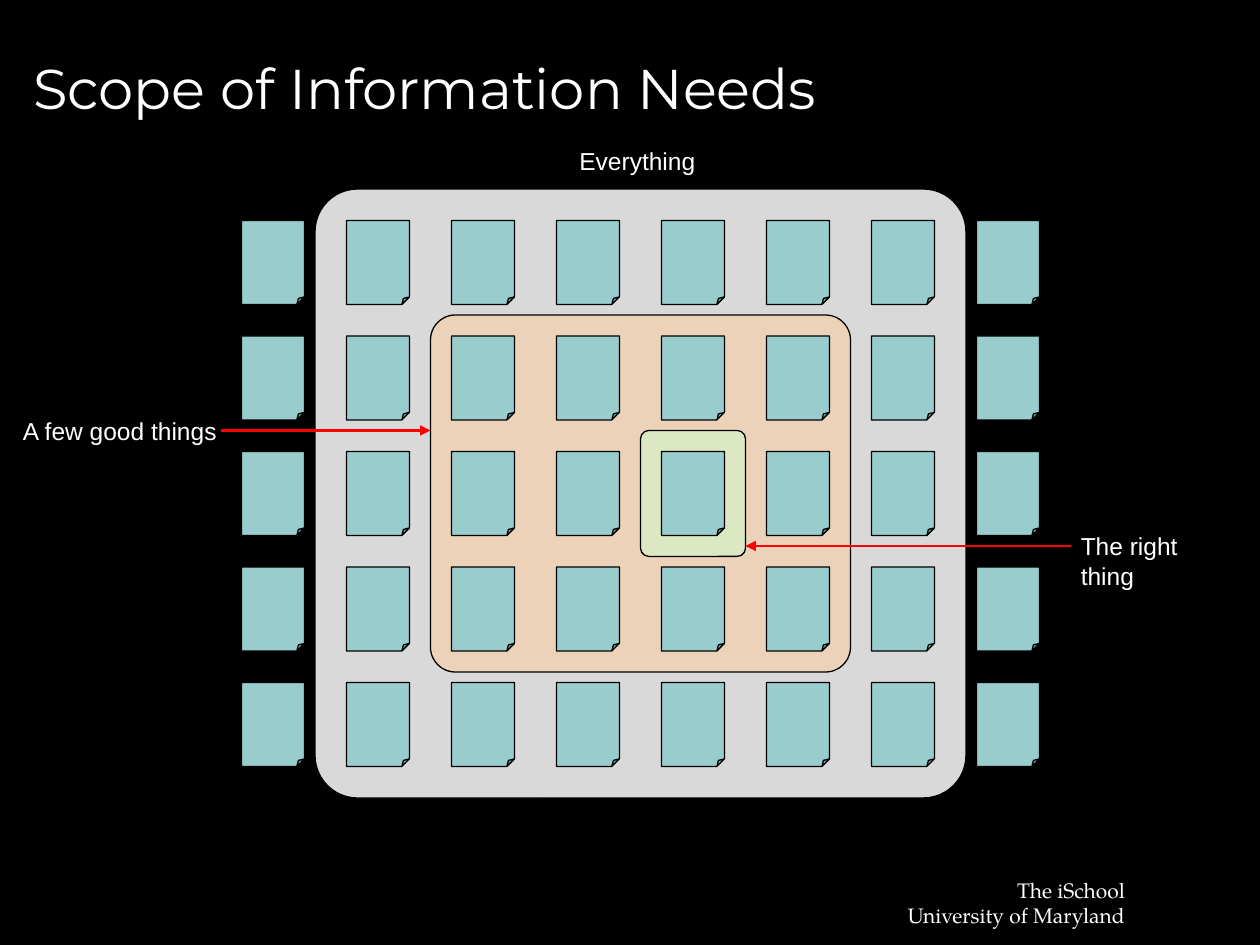
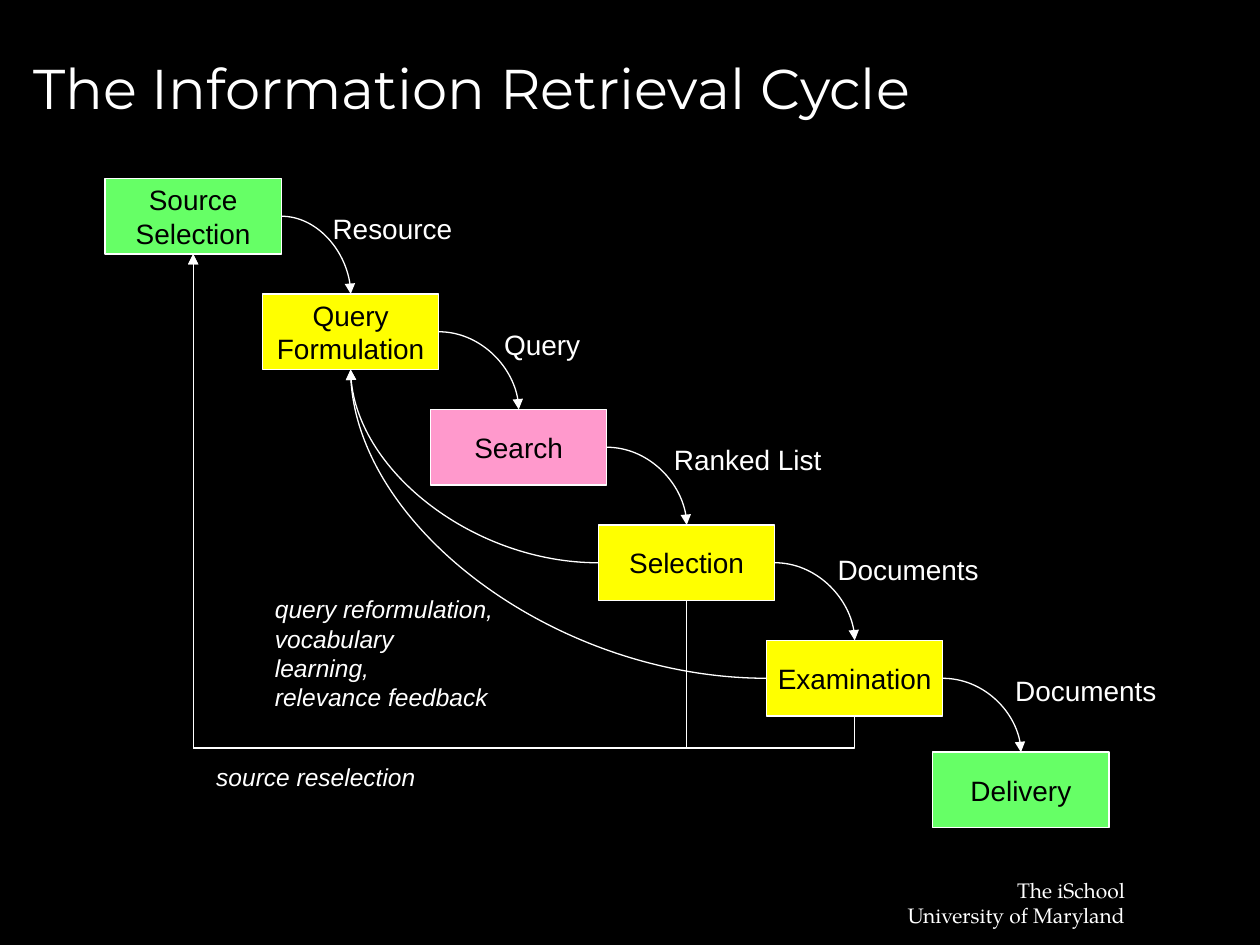
from dataclasses import dataclass

from lxml import etree
from pptx import Presentation
from pptx.dml.color import RGBColor
from pptx.enum import shapes, text
from pptx.oxml import ns
from pptx.util import Pt


@dataclass(frozen=True)
class Theme:
    back: str = "000000"
    ink: str = "FFFFFF"
    dark: str = "000000"
    page: str = "99CCCC"
    gray: str = "D9D9D9"
    peach: str = "FFCC99"
    mint: str = "CCFFCC"
    red: str = "FF0000"
    green: str = "66FF66"
    yellow: str = "FFFF00"
    pink: str = "FF99CC"
    head: str = "Montserrat"
    body: str = "Arial"
    serif: str = "TeX Gyre Pagella"
    big: int = 32
    mid: int = 16
    small: int = 14
    foot: int = 12
    thin: float = 0.75
    thick: float = 1.5


T = Theme()
KIND = shapes.MSO_SHAPE
WIRE = shapes.MSO_CONNECTOR
ALIGN = text.PP_ALIGN

# Shared content: lengths are points, places are (left, top, width, height)
SIZE = (720, 540)
HEAD = (12, 9, 684, 81)
FOOT = "The iSchool\nUniversity of Maryland"
FOOT_AT = (510.5, 498, 139.5, 36)

# Scope slide
SCOPE = "Scope of Information Needs"
ZONES = [  # place, corner, fill, opacity
    ((180, 108, 372, 348), 0.07, T.gray, 100),
    ((246, 180, 240, 204), 0.07, T.peach, 50),
    ((366, 246, 60, 72), 0.08, T.mint, 50),
]
COLS, ROWS = 8, 5
FIRST, STEP, PAGE = (138, 126), (60, 66), (36, 48)
FOLD = 0.12
SCOPE_TAGS = [
    ("The right thing", (610.5, 300, 103.5, 24.5)),
    ("A few good things", (6, 234, 126, 24.5)),
    ("Everything", (324, 80, 80.5, 24.5)),
]
ARROWS = [((126, 246), (246, 246)), ((612, 312), (426, 312))]

# Cycle slide
CYCLE = "The Information Retrieval Cycle"
BOX = (100.8, 43.2)
STAGES = [  # text, left, top, fill
    ("Source\nSelection", 60, 102, T.green),
    ("Query\nFormulation", 150, 168, T.yellow),
    ("Search", 246, 234, T.pink),
    ("Selection", 342, 300, T.yellow),
    ("Examination", 438, 366, T.yellow),
    ("Delivery", 533, 429.8, T.green),
]
FLOWS = [  # label on the arrow from each stage to the next
    ("Resource", (183, 117.5, 83, 26.5)),
    ("Query", (281, 183.5, 58.5, 26.5)),
    ("Ranked List", (378, 249.5, 99, 26.5)),
    ("Documents", (471.5, 312, 95, 26.5)),
    ("Documents", (573, 381.5, 95, 26.5)),
]
NOTES = [
    ("source reselection", (116.5, 432, 165.5, 24.5)),
    ("query reformulation,\nvocabulary learning,\nrelevance feedback",
     (150, 336, 139.5, 57.5)),
]
SOURCE, QUERY, PICK, EXAM = 0, 1, 3, 4
RAIL = 427.5  # height of the line that leads back to the source
TOP, LEFT, BOTTOM, RIGHT = range(4)


def rgb(code):
    return RGBColor.from_string(code)


def pts(vals):
    return [Pt(v) for v in vals]


def write(frame, words, face, size, ink, align=ALIGN.LEFT, slant=False):
    frame.text = words
    for para in frame.paragraphs:
        para.alignment = align
        for run in para.runs:
            font = run.font
            font.name, font.size, font.italic = face, Pt(size), slant
            font.color.rgb = rgb(ink)


def label(slide, words, place, size, face=T.body, **style):
    frame = slide.shapes.add_textbox(*pts(place)).text_frame
    write(frame, words, face, size, T.ink, **style)
    frame.word_wrap = False
    frame.auto_size = text.MSO_AUTO_SIZE.SHAPE_TO_FIT_TEXT


def adjust(item, name, value):
    guides = item._element.spPr.prstGeom.get_or_add_avLst()
    etree.SubElement(guides, ns.qn("a:gd"), name=name,
                     fmla=f"val {round(value * 100000)}")


def block(slide, kind, place, fill, edge, bend=None, alpha=100):
    item = slide.shapes.add_shape(kind, *pts(place))
    item.shadow.inherit = False
    item.fill.solid()
    item.fill.fore_color.rgb = rgb(fill)
    item.line.color.rgb = rgb(edge)
    item.line.width = Pt(T.thin)
    if bend is not None:
        adjust(item, "adj", bend)
    if alpha < 100:
        tone = item._element.spPr.find(ns.qn("a:solidFill"))[0]
        etree.SubElement(tone, ns.qn("a:alpha"), val=str(alpha * 1000))
    return item


def arrow(slide, kind, start, end, color, width):
    wire = slide.shapes.add_connector(kind, *pts(start + end))
    wire.line.color.rgb = rgb(color)
    wire.line.width = Pt(width)
    props = wire._element.spPr
    etree.SubElement(props.find(ns.qn("a:ln")), ns.qn("a:tailEnd"),
                     type="triangle")
    etree.SubElement(props, ns.qn("a:effectLst"))
    return wire


def link(slide, kind, one, side, two, end):
    wire = arrow(slide, kind, (0, 0), (0, 0), T.ink, T.thin)
    wire.begin_connect(one, side)
    wire.end_connect(two, end)
    return wire


def curve(slide, one, side, two, end):
    wire = link(slide, WIRE.CURVE, one, side, two, end)
    wire._element.spPr.prstGeom.set("prst", "curvedConnector2")


def elbow(slide, one, two):
    """Lead from under one box, along the rail, up to the other box."""
    wire = link(slide, WIRE.ELBOW, one, BOTTOM, two, BOTTOM)
    drop = wire.begin_y - wire.end_y
    span = wire.begin_x - wire.end_x
    mid_x = (wire.begin_x + wire.end_x) // 2
    mid_y = (wire.begin_y + wire.end_y) // 2
    bend = (wire.begin_y - Pt(RAIL)) / drop
    # The elbow is stored lying on its side, turned by 270 degrees
    wire.left, wire.top = mid_x - drop // 2, mid_y - span // 2
    wire.width, wire.height = drop, span
    frame = wire._element.spPr.find(ns.qn("a:xfrm"))
    frame.attrib.pop("flipH", None)
    frame.set("rot", "16200000")
    frame.set("flipV", "1")
    adjust(wire, "adj1", bend)


def start(deck, title):
    slide = deck.slides.add_slide(deck.slide_layouts[6])
    slide.background.fill.solid()
    slide.background.fill.fore_color.rgb = rgb(T.back)
    label(slide, FOOT, FOOT_AT, T.foot, T.serif, align=ALIGN.RIGHT)
    frame = slide.shapes.add_textbox(*pts(HEAD)).text_frame
    frame.word_wrap = True
    frame.vertical_anchor = text.MSO_ANCHOR.MIDDLE
    write(frame, title, T.head, T.big, T.ink)
    return slide


def scope(deck):
    slide = start(deck, SCOPE)
    for place, bend, fill, alpha in ZONES:
        block(slide, KIND.ROUNDED_RECTANGLE, place, fill, T.dark, bend, alpha)
    # Grid of pages
    for row in range(ROWS):
        for col in range(COLS):
            spot = (FIRST[0] + col * STEP[0], FIRST[1] + row * STEP[1])
            block(slide, KIND.FOLDED_CORNER, spot + PAGE, T.page, T.dark, FOLD)
    for words, place in SCOPE_TAGS:
        label(slide, words, place, T.small)
    for tail, tip in ARROWS:
        arrow(slide, WIRE.STRAIGHT, tail, tip, T.red, T.thick)


def cycle(deck):
    slide = start(deck, CYCLE)
    # Stages
    boxes = []
    for words, left, top, fill in STAGES:
        box = block(slide, KIND.RECTANGLE, (left, top) + BOX, fill, T.ink)
        frame = box.text_frame
        write(frame, words, T.body, T.mid, T.dark, ALIGN.CENTER)
        frame.word_wrap = False
        frame.vertical_anchor = text.MSO_ANCHOR.MIDDLE
        boxes.append(box)
    # Forward flow
    for one, two, (words, place) in zip(boxes, boxes[1:], FLOWS):
        curve(slide, one, RIGHT, two, TOP)
        label(slide, words, place, T.mid)
    # Feedback
    for back in (EXAM, PICK):
        elbow(slide, boxes[back], boxes[SOURCE])
        curve(slide, boxes[back], LEFT, boxes[QUERY], BOTTOM)
    for words, place in NOTES:
        label(slide, words, place, T.small, slant=True)


def main():
    deck = Presentation()
    deck.slide_width, deck.slide_height = pts(SIZE)
    scope(deck)
    cycle(deck)
    deck.save("out.pptx")


if __name__ == "__main__":
    main()
